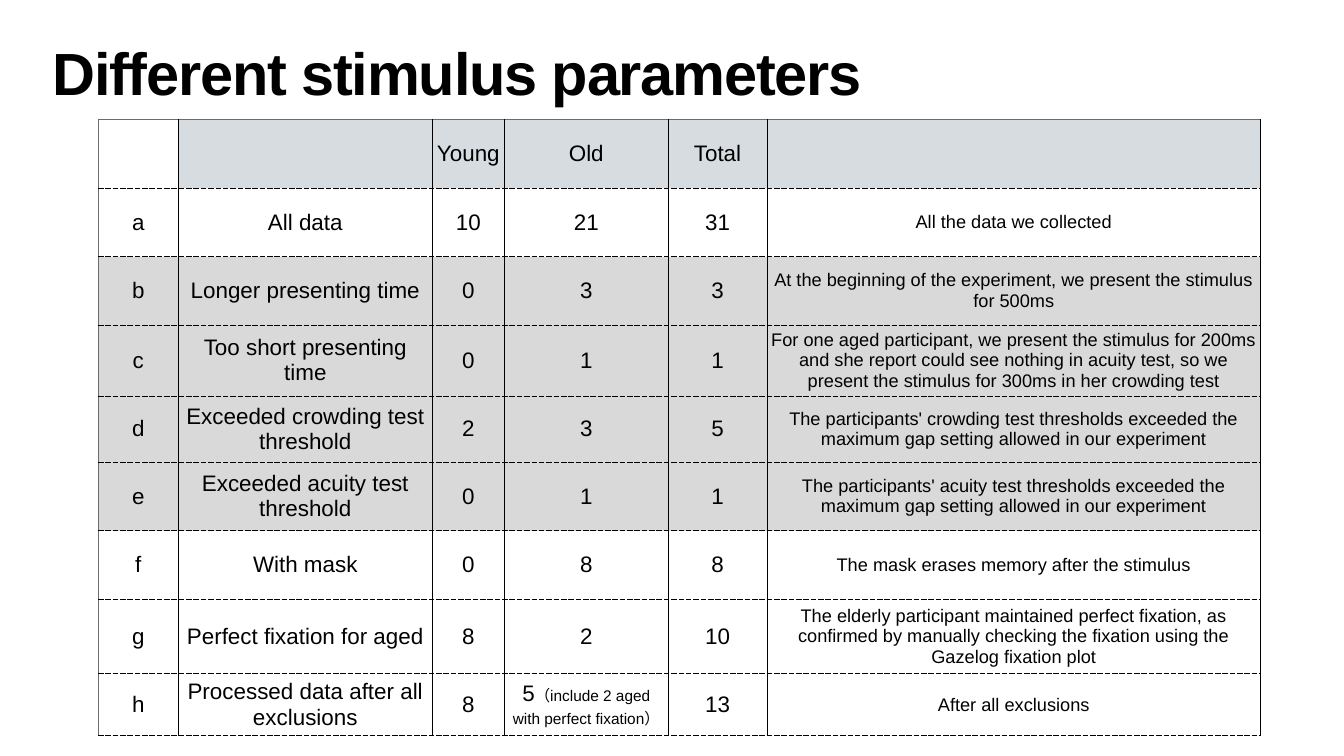
from lxml import etree
from pptx import Presentation
from pptx import util as u
from pptx.dml.color import RGBColor
from pptx.enum import text
from pptx.oxml.ns import qn

BLACK = RGBColor(0x00, 0x00, 0x00)
WHITE = RGBColor(0xFF, 0xFF, 0xFF)
EDGE = RGBColor(0x6C, 0x6C, 0x6C)
HEADER = RGBColor(0xD6, 0xDC, 0xE0)
EXCLUDED = RGBColor(0xD9, 0xD9, 0xD9)

W, H = u.Inches(26.67), u.Inches(15)
COLS = [1.59, 5.04, 1.43, 3.25, 1.96, 9.8]
ROWS = [1.36, 1.36, 1.36, 1.41, 1.31, 1.36, 1.36, 1.48, 1.23]
LABEL, NOTE, REMARK = 32, 26, 22

DATA = [
    ("", "", "Young", "Old", "Total", ""),
    ("a", "All data", "10", "21", "31", "All the data we collected"),
    ("b", "Longer presenting time", "0", "3", "3",
     "At the beginning of the experiment, we present the stimulus for 500ms"),
    ("c", "Too short presenting time", "0", "1", "1",
     "For one aged participant, we present the stimulus for 200ms and she report could see "
     "nothing in acuity test, so we present the stimulus for 300ms in her crowding test"),
    ("d", "Exceeded crowding test threshold", "2", "3", "5",
     "The participants' crowding test thresholds exceeded the maximum gap setting allowed "
     "in our experiment"),
    ("e", "Exceeded acuity test threshold", "0", "1", "1",
     "The participants' acuity test thresholds exceeded the maximum gap setting allowed "
     "in our experiment"),
    ("f", "With mask", "0", "8", "8", "The mask erases memory after the stimulus"),
    ("g", "Perfect fixation for aged", "8", "2", "10",
     "The elderly participant maintained perfect fixation, as confirmed by manually checking "
     "the fixation using the Gazelog fixation plot"),
    ("h", "Processed data after all exclusions", "8", "5", "13", "After all exclusions"),
]


def add_run(p, words, size, bold=False):
    r = p.add_run()
    r.text = words
    for name, value in {"name": "Arial", "size": u.Pt(size), "bold": bold}.items():
        setattr(r.font, name, value)
    r.font.color.rgb = BLACK
    return r


def set_borders(cell, borders):
    """Draw 1 pt borders from (side, colour, dash); they must precede the fill."""
    tcPr = cell._tc.get_or_add_tcPr()
    for i, (side, color, dash) in enumerate(borders):
        ln = etree.Element(qn(f"a:ln{side}"), w=str(u.Pt(1)))
        fill = etree.SubElement(ln, qn("a:solidFill"))
        etree.SubElement(fill, qn("a:srgbClr"), val=str(color))
        etree.SubElement(ln, qn("a:prstDash"), val=dash)
        tcPr.insert(i, ln)


prs = Presentation()
prs.slide_width, prs.slide_height = W, H
s = prs.slides.add_slide(prs.slide_layouts[6])

# Data table
left, top = int(W * 0.0731), int(H * 0.158)
table = s.shapes.add_table(len(ROWS), len(COLS), left, top,
                           u.Inches(sum(COLS)), u.Inches(sum(ROWS))).table
table.first_row = table.horz_banding = False
for col, width in zip(table.columns, COLS):
    col.width = u.Inches(width)
for row, height in zip(table.rows, ROWS):
    row.height = u.Inches(height)

last_col = len(COLS) - 1
for i, values in enumerate(DATA):
    for j, words in enumerate(values):
        cell = table.cell(i, j)
        for side in ("left", "top", "right", "bottom"):
            setattr(cell, f"margin_{side}", u.Inches(0.06))
        cell.vertical_anchor = text.MSO_ANCHOR.MIDDLE
        p = cell.text_frame.paragraphs[0]
        p.alignment = text.PP_ALIGN.CENTER
        if words:
            add_run(p, words, NOTE if j == last_col else LABEL)

        cell.fill.solid()
        if i == 0 and j > 0:
            cell.fill.fore_color.rgb = HEADER
        elif values[0] in ("b", "c", "d", "e"):
            cell.fill.fore_color.rgb = EXCLUDED
        else:
            cell.fill.fore_color.rgb = WHITE

        set_borders(cell, [
            ("L", EDGE if j == 0 else BLACK, "solid"),
            ("R", BLACK, "solid"),
            ("T", EDGE if i == 0 else BLACK, "solid" if i == 0 else "dash"),
            ("B", BLACK, "dash"),
        ])

add_run(table.cell(8, 3).text_frame.paragraphs[0],
        "（include 2 aged with perfect fixation）", REMARK)

# Title
title = s.shapes.add_textbox(int(W * 0.037), int(H * 0.053), int(W * 0.901), int(H * 0.105))
tf = title.text_frame
for name, value in {"word_wrap": True, "margin_left": u.Inches(0.05), "margin_right": 0,
                    "margin_top": u.Inches(0.19), "margin_bottom": 0}.items():
    setattr(tf, name, value)
p = tf.paragraphs[0]
p.line_spacing = 0.8
r = add_run(p, "Different stimulus parameters", 85, bold=True)
r.font._element.set("spc", "-170")

prs.save("out.pptx")
